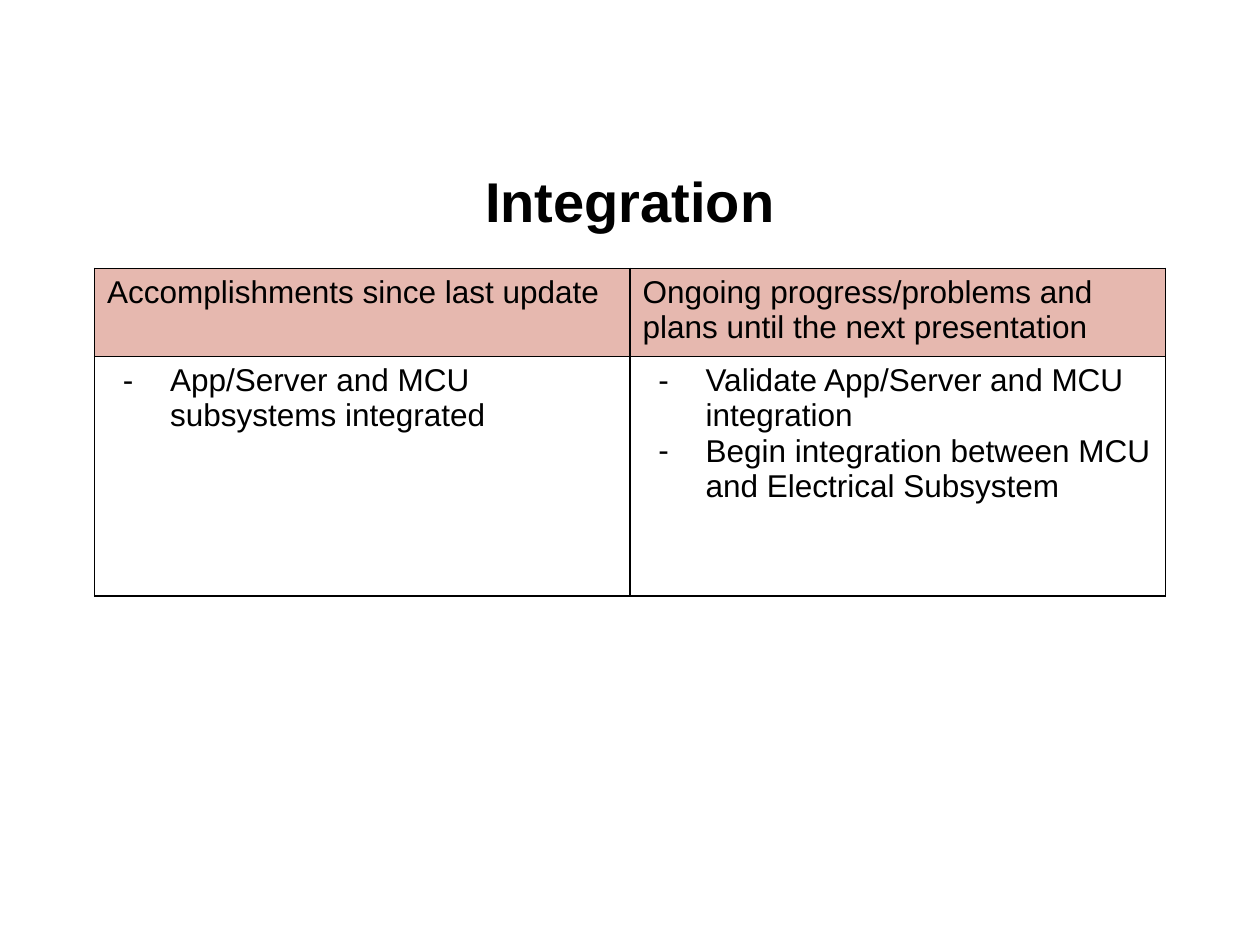
from lxml import etree
from pptx import Presentation
from pptx.dml.color import RGBColor
from pptx.enum.text import MSO_ANCHOR, PP_ALIGN
from pptx.oxml.ns import qn
from pptx.util import Pt

CENTER = PP_ALIGN.CENTER
MIDDLE = MSO_ANCHOR.MIDDLE
FONT = "Arial"
COLORS = {"text": "000000", "border": "000000", "header": "E6B8AF"}
COLUMNS = [
    ("Accomplishments since last update",
     ["App/Server and MCU subsystems integrated"]),
    ("Ongoing progress/problems and plans until the next presentation",
     ["Validate App/Server and MCU integration",
      "Begin integration between MCU and Electrical Subsystem"]),
]


def style_text(frame, size, bold=False):
    for para in frame.paragraphs:
        for span in para.runs:
            span.font.name = FONT
            span.font.size = Pt(size)
            span.font.bold = bold
            span.font.color.rgb = RGBColor.from_string(COLORS["text"])


def add_borders(cell):
    """Draw all four sides; the lines must come before the fill in the XML."""
    properties = cell._tc.get_or_add_tcPr()
    for index, side in enumerate(("a:lnL", "a:lnR", "a:lnT", "a:lnB")):
        line = etree.Element(qn(side), w=str(Pt(1)))
        fill = etree.SubElement(line, qn("a:solidFill"))
        etree.SubElement(fill, qn("a:srgbClr"), val=COLORS["border"])
        properties.insert(index, line)


deck = Presentation()
deck.slide_width, deck.slide_height = Pt(720), Pt(540)
page = deck.slides.add_slide(deck.slide_layouts[6])

# Title
title = page.shapes.add_textbox(Pt(36), Pt(82.8), Pt(648), Pt(63.36)).text_frame
title.word_wrap = True
title.vertical_anchor = MIDDLE
title.text = "Integration"
title.paragraphs[0].alignment = CENTER
style_text(title, 32, bold=True)

# Progress table
table = page.shapes.add_table(2, 2, Pt(54), Pt(153.36), Pt(612), Pt(187.2)).table
table.first_row = False
table.horz_banding = False
table.rows[0].height = Pt(50.4)
table.rows[1].height = Pt(136.8)

for column, (heading, items) in enumerate(COLUMNS):
    header, body = table.cell(0, column), table.cell(1, column)
    header.text_frame.text = heading
    header.fill.solid()
    header.fill.fore_color.rgb = RGBColor.from_string(COLORS["header"])

    body.text_frame.text = "\n".join(items)
    body.fill.background()
    for para in body.text_frame.paragraphs:
        properties = para._p.get_or_add_pPr()
        properties.set("marL", str(Pt(36)))
        properties.set("indent", str(-Pt(27)))
        bullet_color = etree.SubElement(properties, qn("a:buClr"))
        etree.SubElement(bullet_color, qn("a:srgbClr"), val=COLORS["text"])
        etree.SubElement(properties, qn("a:buFont"), typeface=FONT)
        etree.SubElement(properties, qn("a:buChar"), char="-")

    for cell in (header, body):
        style_text(cell.text_frame, 18)
        add_borders(cell)

deck.save("out.pptx")
